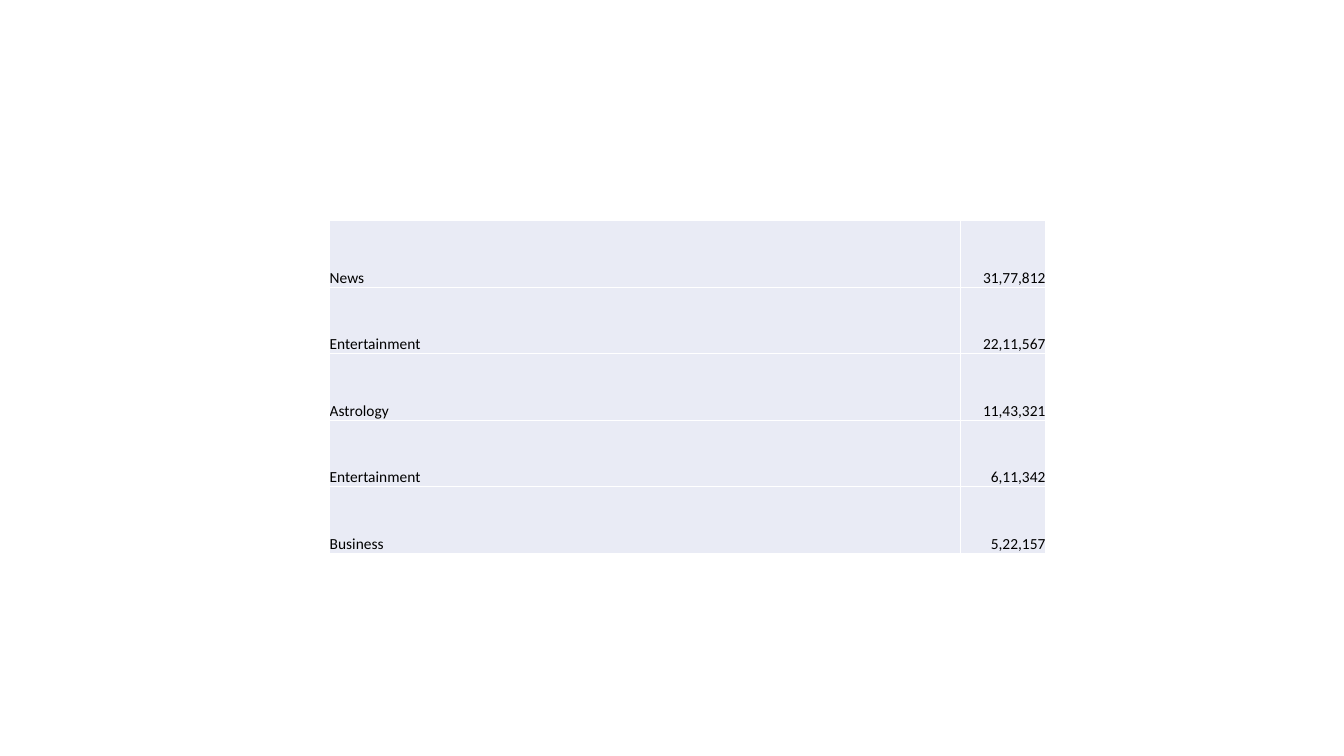
from dataclasses import dataclass

from lxml import etree
from pptx import Presentation
from pptx import util as u
from pptx.dml.color import RGBColor
from pptx.enum import text
from pptx.oxml import ns


@dataclass(frozen=True)
class Theme:
    font: str = "Calibri"
    body_size: float = 11
    ink: str = "000000"
    band: str = "E9EBF5"
    rule: str = "FFFFFF"
    rule_width: float = 1


class SlideBuilder:
    def __init__(self, slide, theme):
        self.slide = slide
        self.theme = theme

    def table(self, left, top, column_widths, row_height, rows):
        frame = self.slide.shapes.add_table(
            len(rows), len(column_widths), u.Inches(left), u.Inches(top),
            u.Inches(sum(column_widths)), u.Inches(row_height * len(rows)))
        table = frame.table
        table.first_row = False
        table.horz_banding = False
        for column, width in zip(table.columns, column_widths):
            column.width = u.Inches(width)
        for row, values in zip(table.rows, rows):
            row.height = u.Inches(row_height)
            label_cell, count_cell = row.cells
            self.cell(label_cell, values[0], text.PP_ALIGN.LEFT)
            self.cell(count_cell, values[1], text.PP_ALIGN.RIGHT)

    def cell(self, cell, content, alignment):
        cell.margin_left = cell.margin_right = u.Inches(0)
        cell.margin_top = cell.margin_bottom = u.Inches(0)
        cell.vertical_anchor = text.MSO_ANCHOR.BOTTOM
        self.borders(cell)
        cell.fill.solid()
        cell.fill.fore_color.rgb = RGBColor.from_string(self.theme.band)
        paragraph = cell.text_frame.paragraphs[0]
        paragraph.alignment = alignment
        run = paragraph.add_run()
        run.text = content
        run.font.name = self.theme.font
        run.font.size = u.Pt(self.theme.body_size)
        run.font.color.rgb = RGBColor.from_string(self.theme.ink)

    def borders(self, cell):
        properties = cell._tc.get_or_add_tcPr()
        for side in ("a:lnL", "a:lnR", "a:lnT", "a:lnB"):
            line = etree.SubElement(properties, ns.qn(side),
                                    w=str(u.Pt(self.theme.rule_width)))
            fill = etree.SubElement(line, ns.qn("a:solidFill"))
            etree.SubElement(fill, ns.qn("a:srgbClr"), val=self.theme.rule)


def main():
    presentation = Presentation()
    presentation.slide_width = u.Inches(13.33)
    presentation.slide_height = u.Inches(7.5)
    slide = presentation.slides.add_slide(presentation.slide_layouts[6])
    builder = SlideBuilder(slide, Theme())
    builder.table(3.27, 2.19, (6.26, 0.84), 0.66, (
        ("News", "31,77,812"),
        ("Entertainment", "22,11,567"),
        ("Astrology", "11,43,321"),
        ("Entertainment", "6,11,342"),
        ("Business", "5,22,157"),
    ))
    presentation.save("out.pptx")


if __name__ == "__main__":
    main()
